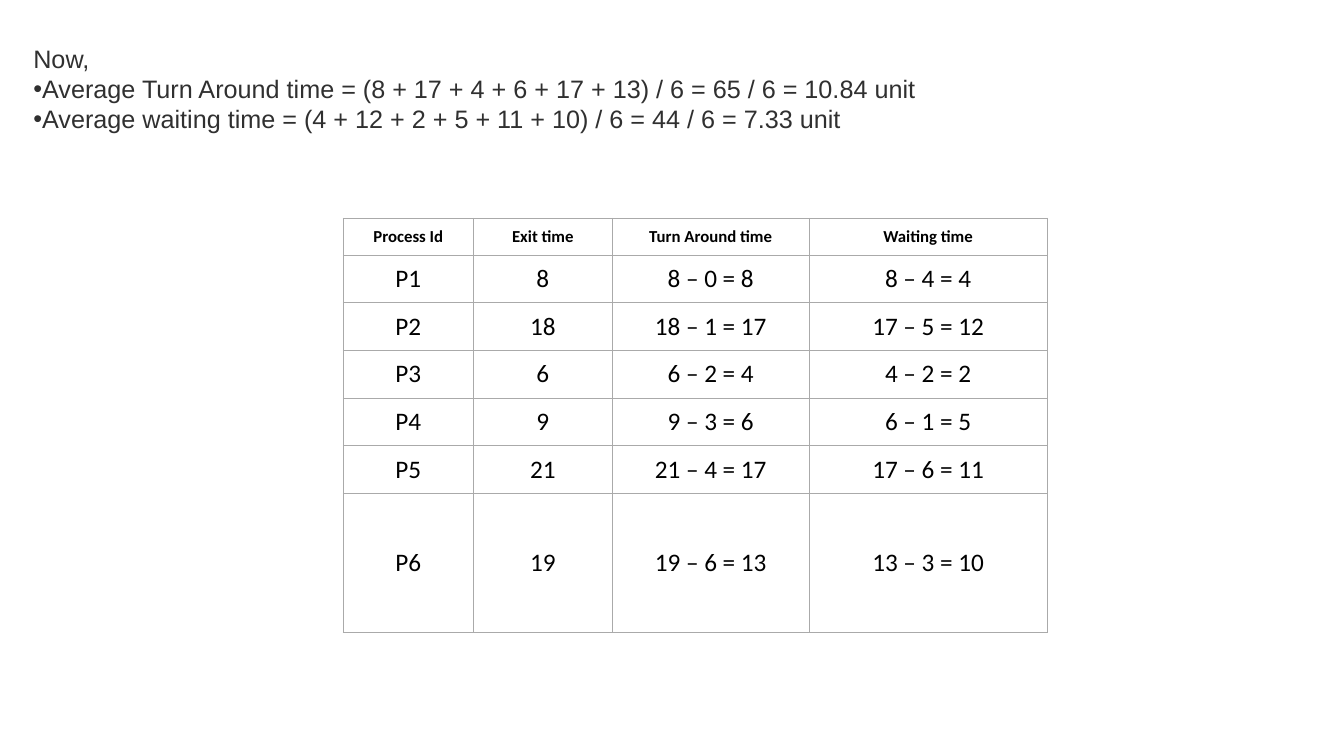
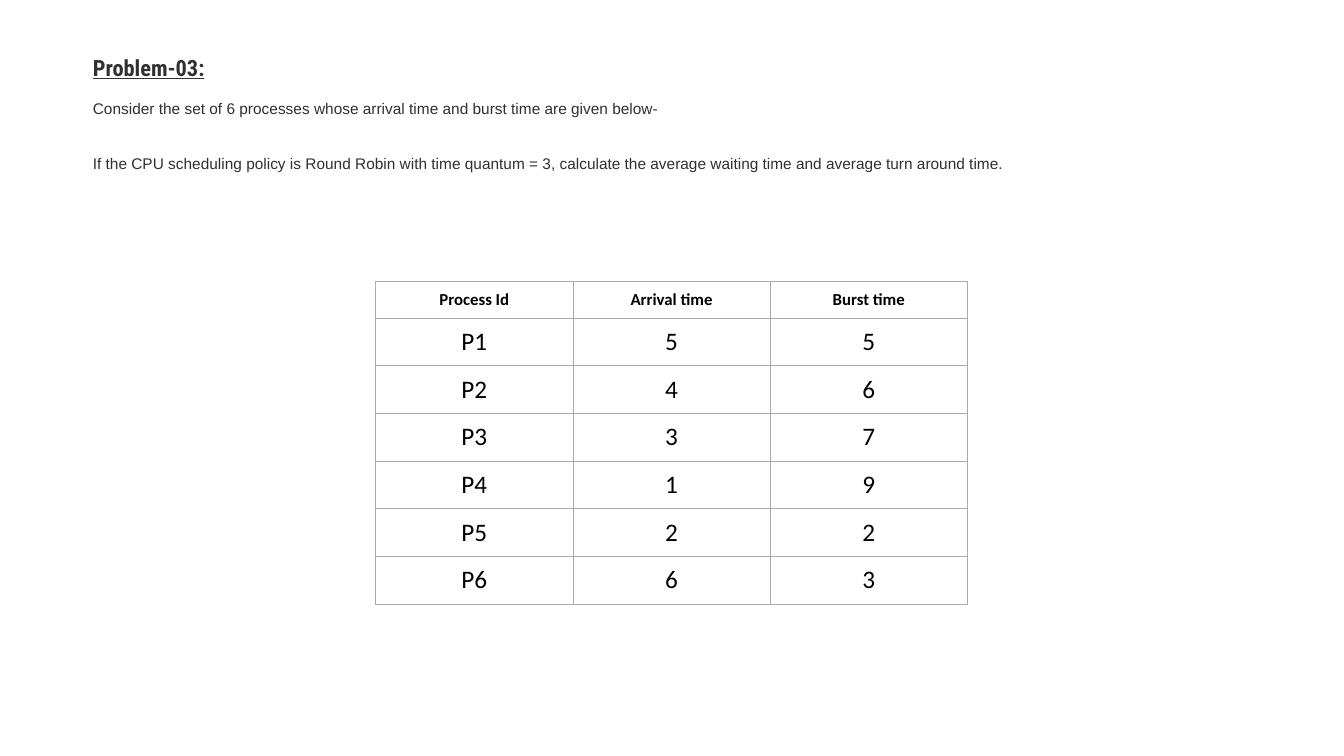
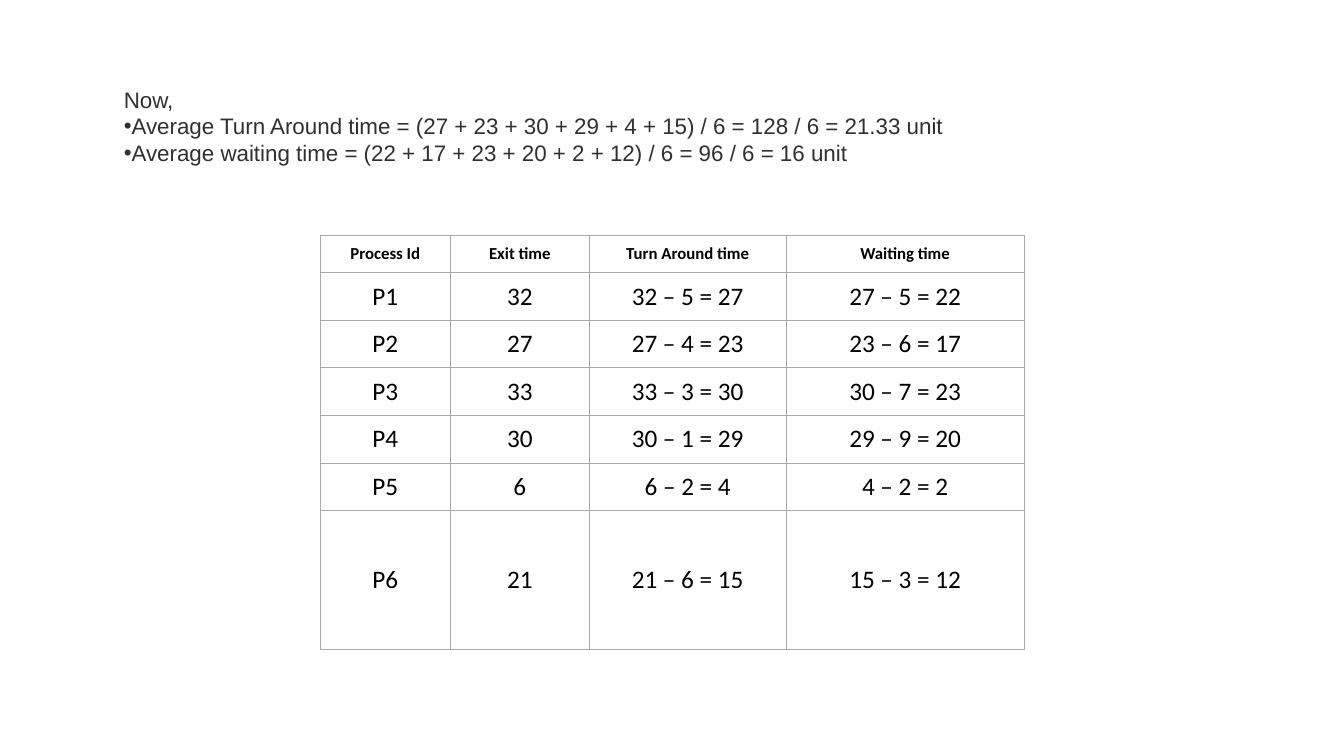
from lxml.etree import SubElement
from pptx import Presentation
from pptx.dml.color import RGBColor
from pptx.enum.text import MSO_ANCHOR, MSO_AUTO_SIZE, PP_ALIGN
from pptx.oxml.ns import qn
from pptx.util import Cm, Pt

WHITE = RGBColor(0xFF, 0xFF, 0xFF)
BLACK = RGBColor(0x00, 0x00, 0x00)
TEXT = RGBColor(0x30, 0x30, 0x30)
BORDER = RGBColor(0xAA, 0xAA, 0xAA)

HEADER_H, ROW_H, LAST_H = 0.93, 1.2, 3.5
RESULT_HEAD = ["Process Id", "Exit time", "Turn Around time", "Waiting time"]
RESULT_COLS = [3.28, 3.5, 4.96, 6]
PROBLEM_HEAD = ["Process Id", "Arrival time", "Burst time"]
PROBLEM_COLS = [4.97] * 3

# (arrival, burst) of P1 to P6
PROBLEM_2 = [(0, 4), (1, 5), (2, 2), (3, 1), (4, 6), (6, 3)]
PROBLEM_3 = [(5, 5), (4, 6), (3, 7), (1, 9), (2, 2), (6, 3)]

# processes, exit times, table position, text box, top inset, text size, averages
RESULTS = {
    "problem 2": (PROBLEM_2, [8, 18, 6, 9, 21, 19], (8.65, 5.5),
                  (0.84, 0.46, 22.6, 3.86), 0.63, 18,
                  ["Average Turn Around time = (8 + 17 + 4 + 6 + 17 + 13) / 6 = 65 / 6 = 10.84 unit",
                   "Average waiting time = (4 + 12 + 2 + 5 + 11 + 10) / 6 = 44 / 6 = 7.33 unit"]),
    "problem 3": (PROBLEM_3, [32, 27, 33, 30, 6, 21], (8.07, 5.94),
                  (3.12, 1.32, 21.2, 3.5), 0.84, 16,
                  ["Average Turn Around time = (27 + 23 + 30 + 29 + 4 + 15) / 6 = 128 / 6 = 21.33 unit",
                   "Average waiting time = (22 + 17 + 23 + 20 + 2 + 12) / 6 = 96 / 6 = 16 unit"]),
}


def add_grid(s, pos, widths, rows, last_h):
    """Add a bordered table at pos, with a bold first row and a last row of height last_h."""
    heights = [HEADER_H] + [ROW_H] * (len(rows) - 2) + [last_h]
    tbl = s.shapes.add_table(len(rows), len(widths), Cm(pos[0]), Cm(pos[1]),
                             Cm(sum(widths)), Cm(sum(heights))).table
    tbl.first_row = tbl.horz_banding = False
    for col, w in zip(tbl.columns, widths):
        col.width = Cm(w)
    for i, (row, h) in enumerate(zip(rows, heights)):
        tbl.rows[i].height = Cm(h)
        for j, text in enumerate(row):
            cell = tbl.cell(i, j)
            cell.vertical_anchor = MSO_ANCHOR.MIDDLE
            cell.margin_left = cell.margin_right = Cm(0.25)
            cell.margin_top = cell.margin_bottom = Cm(0.2)
            tcPr = cell._tc.get_or_add_tcPr()
            for side in ("a:lnL", "a:lnR", "a:lnT", "a:lnB"):
                ln = SubElement(tcPr, qn(side), w=str(Pt(0.75)))
                SubElement(SubElement(ln, qn("a:solidFill")), qn("a:srgbClr"), val=str(BORDER))
            cell.fill.solid()
            cell.fill.fore_color.rgb = WHITE
            p = cell.text_frame.paragraphs[0]
            p.alignment = PP_ALIGN.CENTER
            r = p.add_run()
            r.text = str(text)
            r.font.name = "Calibri"
            r.font.size = Pt(12 if i == 0 else 18)
            r.font.bold = i == 0
            r.font.color.rgb = BLACK


def fill_box(sp, box, lines, anchor, top=0):
    """Place a placeholder and write lines of (text, size, font, space before, bullet, heading)."""
    sp.left, sp.top, sp.width, sp.height = [Cm(v) for v in box]
    sp.fill.solid()
    sp.fill.fore_color.rgb = WHITE
    tf = sp.text_frame
    tf.word_wrap = True
    tf.auto_size = MSO_AUTO_SIZE.NONE
    tf.vertical_anchor = anchor
    tf.margin_left = tf.margin_right = tf.margin_bottom = 0
    tf.margin_top = Cm(top)
    for i, (text, size, font, before, bullet, heading) in enumerate(lines):
        p = tf.paragraphs[0] if i == 0 else tf.add_paragraph()
        p.alignment = PP_ALIGN.LEFT
        p.space_before = Pt(before)
        pPr = p._p.get_or_add_pPr()
        pPr.set("marL", "0")
        pPr.set("indent", "0")
        if bullet:
            SubElement(pPr, qn("a:buChar"), char="•")
        else:
            SubElement(pPr, qn("a:buNone"))
        r = p.add_run()
        r.text = text
        r.font.name = font
        r.font.size = Pt(size)
        r.font.bold = r.font.underline = heading
        r.font.color.rgb = TEXT


prs = Presentation()
prs.slide_width, prs.slide_height = Cm(33.87), Cm(19.05)
content_layout, title_layout = prs.slide_layouts[1], prs.slide_layouts[5]

for name, (processes, exits, pos, box, top, size, averages) in RESULTS.items():
    if name == "problem 3":
        s = prs.slides.add_slide(title_layout)
        fill_box(s.shapes.title, (2.34, 1.02, 29.21, 3.68), [
            ("Problem-03:", 16, "Roboto Condensed", 0, False, True),
            ("Consider the set of 6 processes whose arrival time and burst time are given below-",
             11, "Arial", 13, False, False),
            ("If the CPU scheduling policy is Round Robin with time quantum = 3, "
             "calculate the average waiting time and average turn around time.",
             11, "Arial", 26, False, False),
        ], MSO_ANCHOR.MIDDLE)
        rows = [(f"P{n}", *process) for n, process in enumerate(processes, 1)]
        add_grid(s, (9.47, 7.09), PROBLEM_COLS, [PROBLEM_HEAD] + rows, ROW_H)

    s = prs.slides.add_slide(content_layout)
    title = s.shapes.title
    title.element.getparent().remove(title.element)
    lines = [("Now,", size, "Arial", 0, False, False)]
    lines += [(text, size, "Arial", 0, True, False) for text in averages]
    fill_box(s.placeholders[1], box, lines, MSO_ANCHOR.TOP, top)
    rows = [RESULT_HEAD]
    for n, ((arrival, burst), end) in enumerate(zip(processes, exits), 1):
        turn = end - arrival
        rows.append((f"P{n}", end, f"{end} – {arrival} = {turn}",
                     f"{turn} – {burst} = {turn - burst}"))
    add_grid(s, pos, RESULT_COLS, rows, LAST_H)

prs.save("out.pptx")
